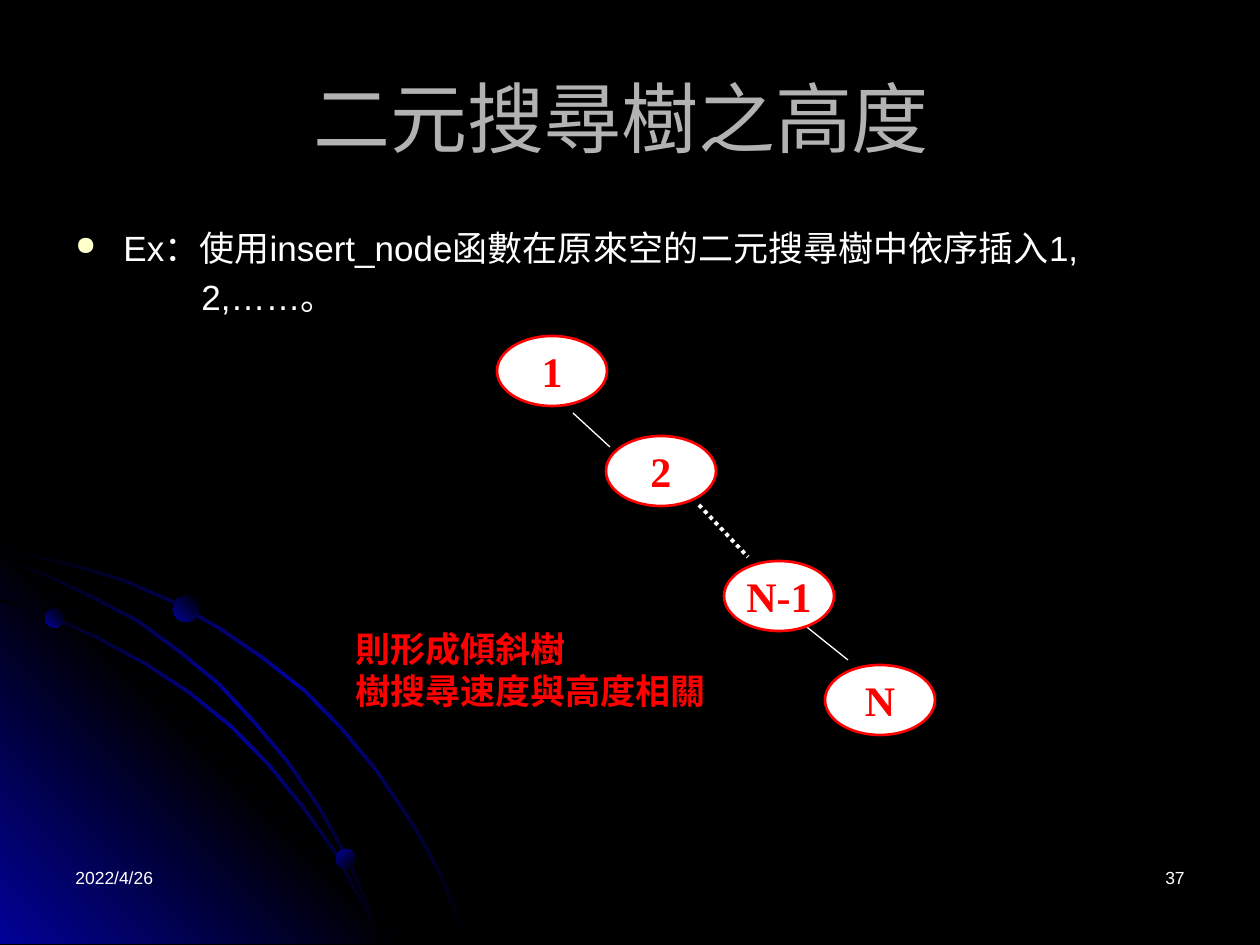
from copy import deepcopy

from pptx import Presentation
from pptx.dml.color import RGBColor
from pptx.enum.dml import MSO_LINE
from pptx.enum.shapes import MSO_CONNECTOR, MSO_SHAPE
from pptx.enum.text import MSO_ANCHOR, PP_ALIGN
from pptx.oxml import parse_xml
from pptx.oxml.ns import nsdecls, qn
from pptx.util import Pt

PX = 914400 // 126
WIDE, HIGH = 1260, 945
HEX = {"back": "000000", "glow": "010199", "title": "B2B2B2",
       "text": "FFFFFF", "mark": "FFFFCC", "red": "FF0000"}
BAND = 2  # offset between the two edges of an arc
ARCS = [
    [(0, 552), (35, 558), (71, 566), (122, 581), (170, 602), (218, 629),
     (262, 659), (304, 692), (341, 730), (375, 771), (407, 818), (425, 848),
     (441, 879), (454, 911), (466, 944)],
    [(0, 601), (49, 617), (97, 639), (145, 665), (189, 694), (231, 728),
     (268, 766), (302, 808), (334, 853), (359, 900), (370, 922), (379, 944)],
    [(0, 559), (45, 576), (93, 599), (137, 622), (179, 653), (218, 685),
     (255, 725), (286, 762), (318, 808), (336, 840), (353, 874), (368, 910),
     (379, 944)],
]
DOTS = [(45, 609, 19, 315), (336, 849, 20, 45), (173, 596, 26, 315)]
NODES = [("1", 0, 0), ("2", 109, 100), ("N-1", 227, 225), ("N", 328, 329)]
EDGES = [(76, 77, 113, 111, False), (202, 169, 251, 221, True),
         (306, 288, 351, 324, False)]


def color(name):
    return RGBColor.from_string(HEX[name])


def emu(*sizes):
    return [size * PX for size in sizes]


def style(para, size, tint, face="Arial", bold=False):
    for run in para.runs:
        font = run.font
        font.name, font.size, font.bold = face, Pt(size), bold
        font.color.rgb = color(tint)


def blend(shape, angle, *names):
    """Fill with evenly spaced stops; angle runs clockwise."""
    shape.shadow.inherit = False
    shape.line.fill.background()
    shape.fill.gradient()
    shape.fill.gradient_angle = 360 - angle
    stops = next(shape.element.iter(qn("a:gsLst")))
    for _ in names[2:]:
        stops.append(deepcopy(stops[0]))
    for i, (stop, name) in enumerate(zip(shape.fill.gradient_stops, names)):
        stop.position = i / (len(names) - 1)
        stop.color.rgb = color(name)


def outline(slide, points):
    pen = slide.shapes.build_freeform(*points[0], scale=PX)
    pen.add_line_segments(points[1:], close=True)
    return pen.convert_to_shape()


def label(slide, box, lines, size, tint, bold=False, wrap=True):
    frame = slide.shapes.add_textbox(*emu(*box)).text_frame
    frame.word_wrap = wrap
    frame.text = "\n".join(lines)
    for para in frame.paragraphs:
        style(para, size, tint, bold=bold)
    return frame


def decor(slide):
    first, *rest = ARCS
    for i, arc in enumerate([first, None, *rest]):
        if i == 1:
            corner = outline(slide, [(406, 944), (0, 944), (0, 538)])
            blend(corner, 315, "glow", "back", "glow")
            continue
        edge = [(x + BAND, y - BAND) for x, y in reversed(arc)]
        blend(outline(slide, arc + edge), 45, "back", "glow", "back")
    for x, y, size, angle in DOTS:
        dot = slide.shapes.add_shape(MSO_SHAPE.OVAL, *emu(x, y, size, size))
        blend(dot, angle, "glow", "back")


def heading(slide, box):
    title = slide.shapes.title
    title.left, title.top, title.width, title.height = emu(*box)
    frame = title.text_frame
    frame.text = "二元搜尋樹之高度 "
    frame.vertical_anchor = MSO_ANCHOR.MIDDLE
    para = frame.paragraphs[0]
    para.alignment = PP_ALIGN.CENTER
    style(para, 44, "title")


def example(slide, box):
    frame = label(slide, box, [
        "Ex：使用insert_node函數在原來空的二元搜尋樹中依序插入1,",
        "2,……。"], 20, "text")
    head, tail = [para._p.get_or_add_pPr() for para in frame.paragraphs]
    head.set("marL", str(48 * PX))
    head.set("indent", str(-48 * PX))
    tint = f'<a:buClr {nsdecls("a")}><a:srgbClr val="{HEX["mark"]}"/></a:buClr>'
    for xml in (tint, f'<a:buSzPct {nsdecls("a")} val="75000"/>',
                f'<a:buChar {nsdecls("a")} char="●"/>'):
        head.append(parse_xml(xml))
    tail.set("marL", str(126 * PX))
    frame.paragraphs[1].space_before = Pt(4)


def tree(slide, left, top):
    for x1, y1, x2, y2, dotted in EDGES:
        ends = emu(left + x1, top + y1, left + x2, top + y2)
        edge = slide.shapes.add_connector(MSO_CONNECTOR.STRAIGHT, *ends)
        edge.line.color.rgb = color("text")
        edge.line.width = Pt(2.25 if dotted else 0.75)
        if dotted:
            edge.line.dash_style = MSO_LINE.ROUND_DOT
        edge.element.spPr.append(parse_xml(f'<a:effectLst {nsdecls("a")}/>'))
    for name, x, y in NODES:
        node = slide.shapes.add_shape(MSO_SHAPE.FLOWCHART_CONNECTOR,
                                      *emu(left + x, top + y, 110, 70))
        node.shadow.inherit = False
        node.fill.solid()
        node.fill.fore_color.rgb = color("text")
        node.line.color.rgb = color("red")
        node.line.width = Pt(1.5)
        frame = node.text_frame
        frame.word_wrap = False
        frame.vertical_anchor = MSO_ANCHOR.MIDDLE
        frame.text = name
        frame.paragraphs[0].alignment = PP_ALIGN.CENTER
        style(frame.paragraphs[0], 24, "red", "Times New Roman", True)


def footer(slide, left, top, width):
    size = (294, 63)
    label(slide, (left, top, *size), ["2022/4/26"], 10, "text")
    page = label(slide, (left + width - size[0], top, *size), ["37"], 10, "text")
    page.paragraphs[0].alignment = PP_ALIGN.RIGHT


def main():
    deck = Presentation()
    deck.slide_width, deck.slide_height = emu(WIDE, HIGH)
    slide = deck.slides.add_slide(deck.slide_layouts[5])
    slide.background.fill.solid()
    slide.background.fill.fore_color.rgb = color("back")
    decor(slide)
    footer(slide, 63, 861, 1134)
    heading(slide, (63, 38, 1134, 158))
    example(slide, (63, 220, 1143, 163))
    label(slide, (343, 621, 379, 97), ["則形成傾斜樹", "樹搜尋速度與高度相關"],
          20, "red", bold=True, wrap=False)
    tree(slide, 497, 336)
    deck.save("out.pptx")


if __name__ == "__main__":
    main()
